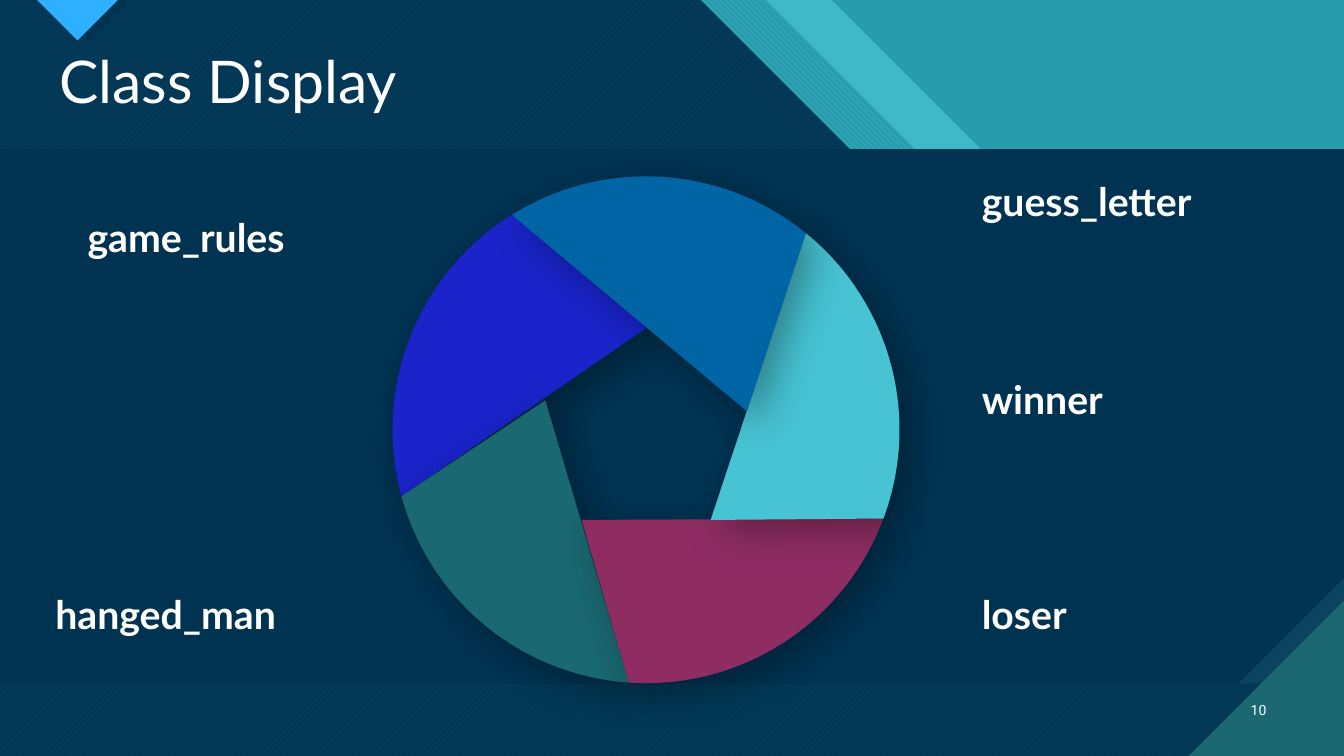
from math import cos, radians, sin

from lxml.etree import SubElement
from pptx import Presentation
from pptx.dml.color import RGBColor
from pptx.enum.dml import MSO_PATTERN
from pptx.enum.shapes import MSO_SHAPE
from pptx.enum.text import MSO_ANCHOR, PP_ALIGN
from pptx.oxml.ns import qn
from pptx.util import Pt

WIDTH, HEIGHT = 960, 540
COLORS = {
    "teal": "299CAB",
    "aqua": "47C3D3",
    "pine": "1B6872",
    "navy": "003352",
    "edge": "0C4360",
    "sky": "2FAFFF",
    "white": "FFFFFF",
    "black": "000000",
    "violet": "1A24CA",
    "moss": "1A6871",
    "plum": "8F2D63",
    "blue": "0065A4",
}


class SlideBuilder:
    def __init__(self, slide, colors):
        self.slide = slide
        self.colors = colors

    def color(self, name):
        return RGBColor.from_string(self.colors[name])

    def paint(self, shape, color, opacity=100):
        shape.shadow.inherit = False
        shape.line.fill.background()
        shape.fill.solid()
        shape.fill.fore_color.rgb = self.color(color)
        if opacity < 100:
            hue = shape.element.spPr.find(qn("a:solidFill")).find(qn("a:srgbClr"))
            SubElement(hue, qn("a:alpha"), val=str(opacity * 1000))
        return shape

    def rectangle(self, left, top, width, height, color):
        box = (Pt(value) for value in (left, top, width, height))
        shape = self.slide.shapes.add_shape(MSO_SHAPE.RECTANGLE, *box)
        return self.paint(shape, color)

    def polygon(self, points, color, opacity=100):
        start, *others = [(Pt(x), Pt(y)) for x, y in points]
        builder = self.slide.shapes.build_freeform(*start, scale=1.0)
        builder.add_line_segments(others, close=True)
        return self.paint(builder.convert_to_shape(), color, opacity)

    def diagonal_layer(self, x, color, opacity=100):
        points = [(0, 0), (x, 0), (WIDTH, WIDTH - x), (WIDTH, HEIGHT), (0, HEIGHT)]
        return self.polygon(points, color, opacity)

    def hatch(self, shape, pattern, front, back):
        shape.fill.patterned()
        shape.fill.pattern = pattern
        shape.fill.fore_color.rgb = self.color(front)
        shape.fill.back_color.rgb = self.color(back)

    def blade(self, center, radius, start, end, inner, color):
        steps = 48
        angles = [radians(start + (end - start) * step / steps) for step in range(steps + 1)]
        arc = [(center[0] + radius * cos(a), center[1] + radius * sin(a)) for a in angles]
        shape = self.polygon(arc + [inner], color)
        effects = shape.element.spPr.find(qn("a:effectLst"))
        shadow = SubElement(effects, qn("a:outerShdw"), blurRad=str(Pt(29)),
                            dist=str(Pt(11)), dir=str(45 * 60000), algn="tl", rotWithShape="0")
        hue = SubElement(shadow, qn("a:srgbClr"), val=self.colors["black"])
        SubElement(hue, qn("a:alpha"), val="32000")

    def fill_text(self, shape, text, frame_format, paragraph_format, font_format):
        frame = shape.text_frame
        frame.text = text
        paragraph = frame.paragraphs[0]
        font = paragraph.runs[0].font
        font.color.rgb = self.color("white")
        formats = ((frame, frame_format), (paragraph, paragraph_format), (font, font_format))
        for target, values in formats:
            for name, value in values.items():
                setattr(target, name, value)

    def title(self, text, left, top, width, height):
        shape = self.slide.shapes.title
        box = {"left": left, "top": top, "width": width, "height": height}
        for name, value in box.items():
            setattr(shape, name, Pt(value))
        shape.element.getparent().append(shape.element)
        self.fill_text(shape, text,
                       {"word_wrap": False, "vertical_anchor": MSO_ANCHOR.MIDDLE},
                       {"alignment": PP_ALIGN.LEFT, "line_spacing": 0.9},
                       {"name": "Lato", "size": Pt(42)})

    def label(self, text, left, top, width, height):
        shape = self.slide.shapes.add_textbox(Pt(left), Pt(top), Pt(width), Pt(height))
        margins = ("margin_left", "margin_top", "margin_right", "margin_bottom")
        self.fill_text(shape, text,
                       {"word_wrap": False, **dict.fromkeys(margins, 0)},
                       {"alignment": PP_ALIGN.LEFT, "space_before": Pt(8)},
                       {"name": "Lato", "size": Pt(28), "bold": True})

    def page_number(self, text, left, top, width, height):
        shape = self.slide.shapes.add_textbox(Pt(left), Pt(top), Pt(width), Pt(height))
        self.fill_text(shape, text, {"word_wrap": True}, {"alignment": PP_ALIGN.LEFT},
                       {"name": "Roboto", "size": Pt(10)})


def draw_background(builder):
    builder.rectangle(0, 0, WIDTH, HEIGHT, "teal")
    builder.diagonal_layer(594, "aqua", 74)
    stripe = builder.diagonal_layer(547.2, "aqua")
    builder.hatch(stripe, MSO_PATTERN.WIDE_DOWNWARD_DIAGONAL, "aqua", "teal")
    header = builder.diagonal_layer(500.4, "aqua")
    builder.hatch(header, MSO_PATTERN.WIDE_UPWARD_DIAGONAL, "aqua", "pine")
    builder.diagonal_layer(500.4, "navy", 90)
    builder.polygon([(34.6, 0), (94.3, 0), (64.4, 29.5)], "navy")
    builder.polygon([(26.6, 0), (84.2, 0), (55.4, 28.8)], "sky")
    builder.rectangle(0, 106.6, WIDTH, 381.6, "navy")
    builder.polygon([(WIDTH, 413), (WIDTH, 488.2), (884.8, 488.2)], "edge")
    builder.polygon([(849, HEIGHT), (WIDTH, HEIGHT), (WIDTH, 429)], "pine")


def draw_wheel(builder):
    blades = [
        ("violet", 164.8, 238, (462.2, 234)),
        ("moss", 93.9, 164.8, (389.5, 286)),
        ("plum", 20.5, 93.9, (415.4, 371.4)),
        ("aqua", -50.9, 20.5, (507.6, 371.4)),
        ("blue", -122, -50.9, (533.5, 293.8)),
    ]
    for color, start, end, inner in blades:
        builder.blade((461.5, 307), 181, start, end, inner, color)


def main():
    presentation = Presentation()
    presentation.slide_width, presentation.slide_height = Pt(WIDTH), Pt(HEIGHT)
    slide = presentation.slides.add_slide(presentation.slide_layouts[5])
    builder = SlideBuilder(slide, COLORS)
    draw_background(builder)
    builder.page_number("10", 886.3, 497.5, 31.7, 28.8)
    builder.title("Class Display", 35.3, 33.8, 305.3, 53.3)
    labels = [
        ("game_rules", 62.6, 152.6, 167.8),
        ("hanged_man", 39.6, 421.9, 192.2),
        ("guess_letter", 701.3, 126.7, 176.4),
        ("winner", 701.3, 267.8, 100.8),
        ("loser", 701.3, 421.9, 69.1),
    ]
    for text, left, top, width in labels:
        builder.label(text, left, top, width, 33.8)
    draw_wheel(builder)
    presentation.save("out.pptx")


if __name__ == "__main__":
    main()
